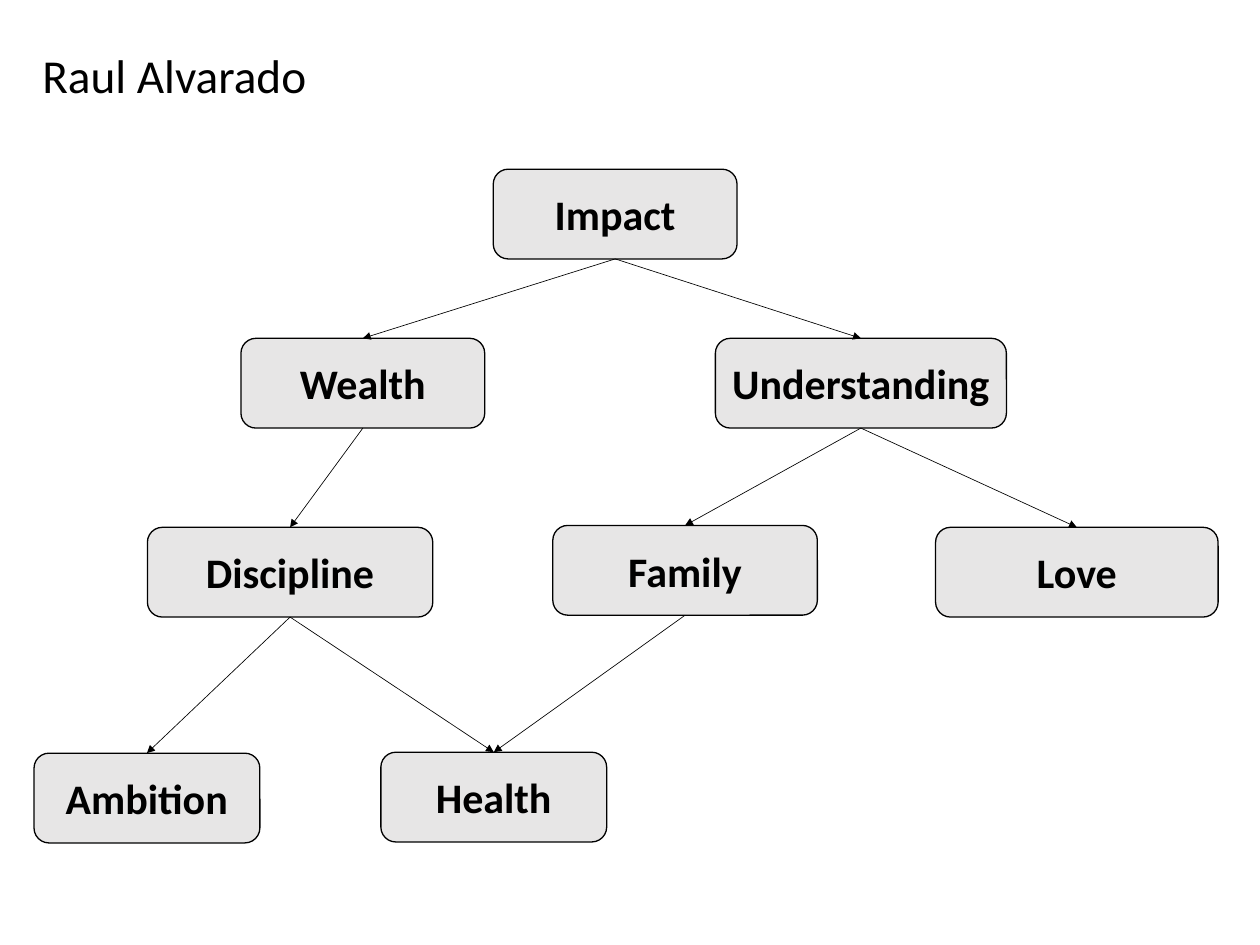
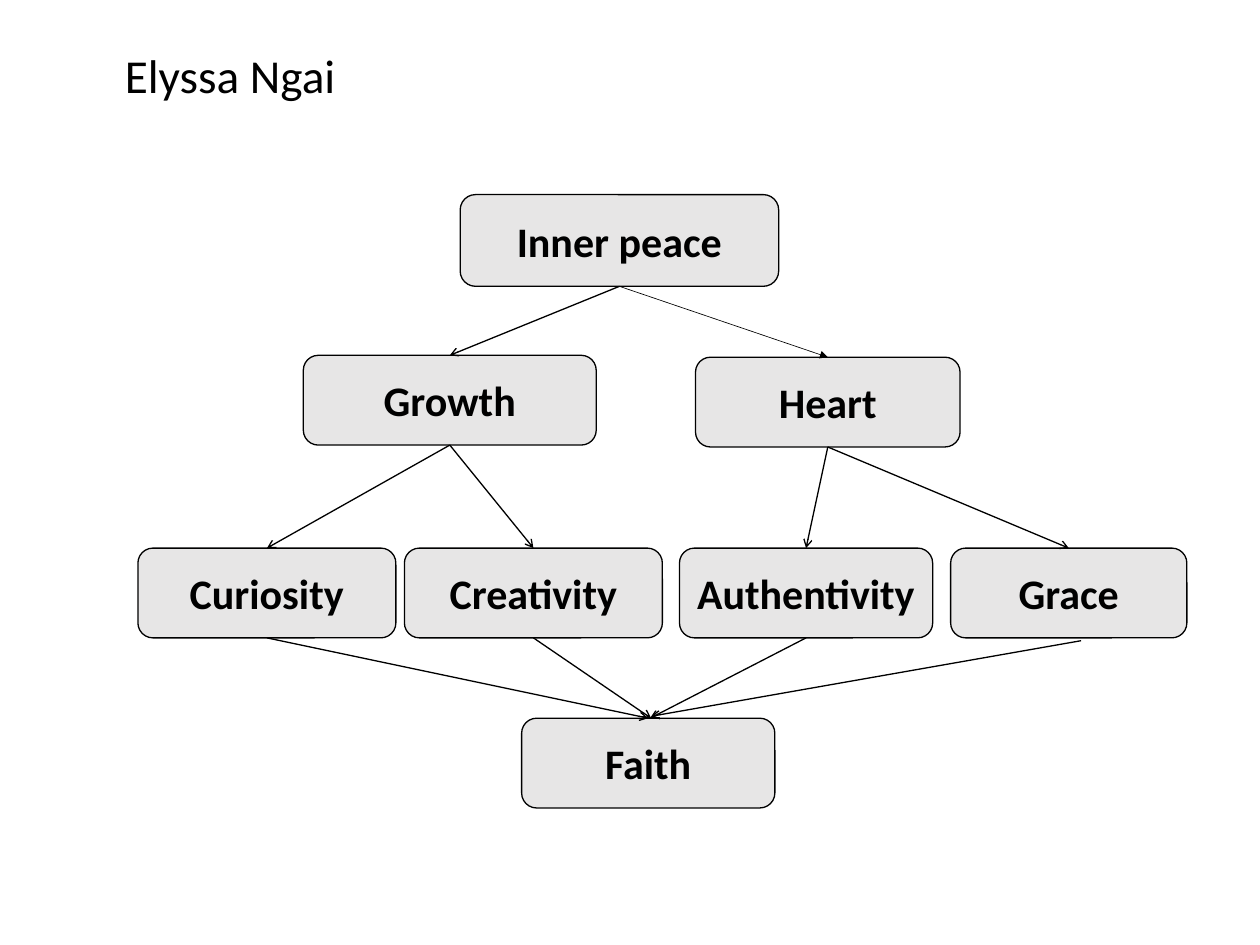
from dataclasses import dataclass

from lxml.etree import SubElement
from pptx import Presentation
from pptx.dml.color import RGBColor
from pptx.enum.shapes import MSO_CONNECTOR, MSO_SHAPE
from pptx.enum.text import MSO_ANCHOR, PP_ALIGN
from pptx.oxml.ns import qn
from pptx.shapes.autoshape import Shape
from pptx.slide import Slide
from pptx.text.text import TextFrame
from pptx.util import Emu, Inches, Pt

INK = RGBColor(0x00, 0x00, 0x00)
VALUE_FILL = RGBColor(0xE7, 0xE6, 0xE6)
FONT = "Calibri"

SLIDE_WIDTH, SLIDE_HEIGHT = Inches(13.33), Inches(10)
COLUMNS, ROWS = 40, 30
VALUE_ROWS = 2.85
NAME_ROW, NAME_ROWS = 1.29, 2.13
TOP_SITE, BOTTOM_SITE = 0, 2


@dataclass(frozen=True)
class Value:
    label: str
    column: float
    row: float
    columns: float
    rows: float = VALUE_ROWS


@dataclass(frozen=True)
class Link:
    source: str
    target: str
    head: str = "triangle"
    weight: float = 0.5
    start_shift: tuple[float, float] = (0, 0)
    end_shift: tuple[float, float] = (0, 0)


@dataclass(frozen=True)
class ValueTree:
    person: str
    name_columns: float
    name_align: PP_ALIGN
    values: tuple[Value, ...]
    links: tuple[Link, ...]


def open_link(
    source: str,
    target: str,
    start_shift: tuple[float, float] = (0, 0),
    end_shift: tuple[float, float] = (0, 0),
) -> Link:
    return Link(source, target, "arrow", 1, start_shift, end_shift)


TREES = (
    ValueTree(
        "Raul Alvarado", 10.02, PP_ALIGN.RIGHT,
        (
            Value("Impact", 15.66, 5.37, 7.74),
            Value("Wealth", 7.65, 10.74, 7.74),
            Value("Understanding", 22.71, 10.74, 9.24),
            Value("Discipline", 4.68, 16.74, 9.06),
            Value("Family", 17.55, 16.68, 8.4),
            Value("Love", 29.7, 16.74, 8.97),
            Value("Ambition", 1.08, 23.91, 7.17),
            Value("Health", 12.09, 23.88, 7.17),
        ),
        (
            Link("Impact", "Wealth"),
            Link("Impact", "Understanding"),
            Link("Wealth", "Discipline"),
            Link("Understanding", "Family"),
            Link("Understanding", "Love"),
            Link("Discipline", "Ambition"),
            Link("Discipline", "Health"),
            Link("Family", "Health"),
        ),
    ),
    ValueTree(
        "Elyssa Ngai", 14.61, PP_ALIGN.CENTER,
        (
            Value("Inner peace", 14.61, 6.18, 10.11, 2.91),
            Value("Growth", 9.63, 11.28, 9.3),
            Value("Heart", 22.08, 11.34, 8.4),
            Value("Curiosity", 4.38, 17.4, 8.19),
            Value("Creativity", 12.84, 17.4, 8.19),
            Value("Authentivity", 21.57, 17.4, 8.04),
            Value("Grace", 30.18, 17.4, 7.5),
            Value("Faith", 16.56, 22.8, 8.04),
        ),
        (
            open_link("Inner peace", "Growth"),
            Link("Inner peace", "Heart"),
            open_link("Growth", "Curiosity"),
            open_link("Growth", "Creativity"),
            open_link("Heart", "Authentivity"),
            open_link("Heart", "Grace"),
            open_link("Curiosity", "Faith"),
            open_link("Creativity", "Faith", end_shift=(0.09, 0)),
            open_link("Authentivity", "Faith", end_shift=(0.06, 0)),
            open_link("Grace", "Faith", (0.39, 0.09), (0.09, -0.06)),
        ),
    ),
)


def across(columns: float) -> Emu:
    return Emu(round(SLIDE_WIDTH * columns / COLUMNS))


def down(rows: float) -> Emu:
    return Emu(round(SLIDE_HEIGHT * rows / ROWS))


def write(frame: TextFrame, words: str, size: int, align: PP_ALIGN, bold: bool = False) -> None:
    frame.word_wrap = True
    frame.vertical_anchor = MSO_ANCHOR.MIDDLE
    line = frame.paragraphs[0]
    line.text = words
    line.alignment = align
    line.font.name = FONT
    line.font.size = Pt(size)
    line.font.bold = bold
    line.font.color.rgb = INK


def draw_name(slide: Slide, tree: ValueTree) -> None:
    name = slide.shapes.add_textbox(
        0, down(NAME_ROW), across(tree.name_columns), down(NAME_ROWS)
    )
    write(name.text_frame, tree.person, 36, tree.name_align)


def draw_value(slide: Slide, value: Value) -> Shape:
    box = slide.shapes.add_shape(
        MSO_SHAPE.ROUNDED_RECTANGLE,
        across(value.column), down(value.row), across(value.columns), down(value.rows),
    )
    box.shadow.inherit = False
    box.fill.solid()
    box.fill.fore_color.rgb = VALUE_FILL
    box.line.color.rgb = INK
    box.line.width = Pt(1)
    write(box.text_frame, value.label, 32, PP_ALIGN.CENTER, bold=True)
    return box


def draw_link(slide: Slide, link: Link, boxes: dict[str, Shape]) -> None:
    source, target = boxes[link.source], boxes[link.target]
    start_column, start_row = link.start_shift
    end_column, end_row = link.end_shift
    arrow = slide.shapes.add_connector(
        MSO_CONNECTOR.STRAIGHT,
        source.left + source.width // 2 + across(start_column),
        source.top + source.height + down(start_row),
        target.left + target.width // 2 + across(end_column),
        target.top + down(end_row),
    )
    if not any(link.start_shift):
        arrow.begin_connect(source, BOTTOM_SITE)
    if not any(link.end_shift):
        arrow.end_connect(target, TOP_SITE)
    arrow.line.color.rgb = INK
    arrow.line.width = Pt(link.weight)
    properties = arrow.element.spPr
    SubElement(properties.find(qn("a:ln")), qn("a:tailEnd"), type=link.head)
    SubElement(properties, qn("a:effectLst"))


def draw_tree(slide: Slide, tree: ValueTree) -> None:
    draw_name(slide, tree)
    boxes = {value.label: draw_value(slide, value) for value in tree.values}
    for link in tree.links:
        draw_link(slide, link, boxes)


def main() -> None:
    deck = Presentation()
    deck.slide_width, deck.slide_height = SLIDE_WIDTH, SLIDE_HEIGHT
    blank = deck.slide_layouts[6]
    for tree in TREES:
        draw_tree(deck.slides.add_slide(blank), tree)
    deck.save("out.pptx")


if __name__ == "__main__":
    main()
